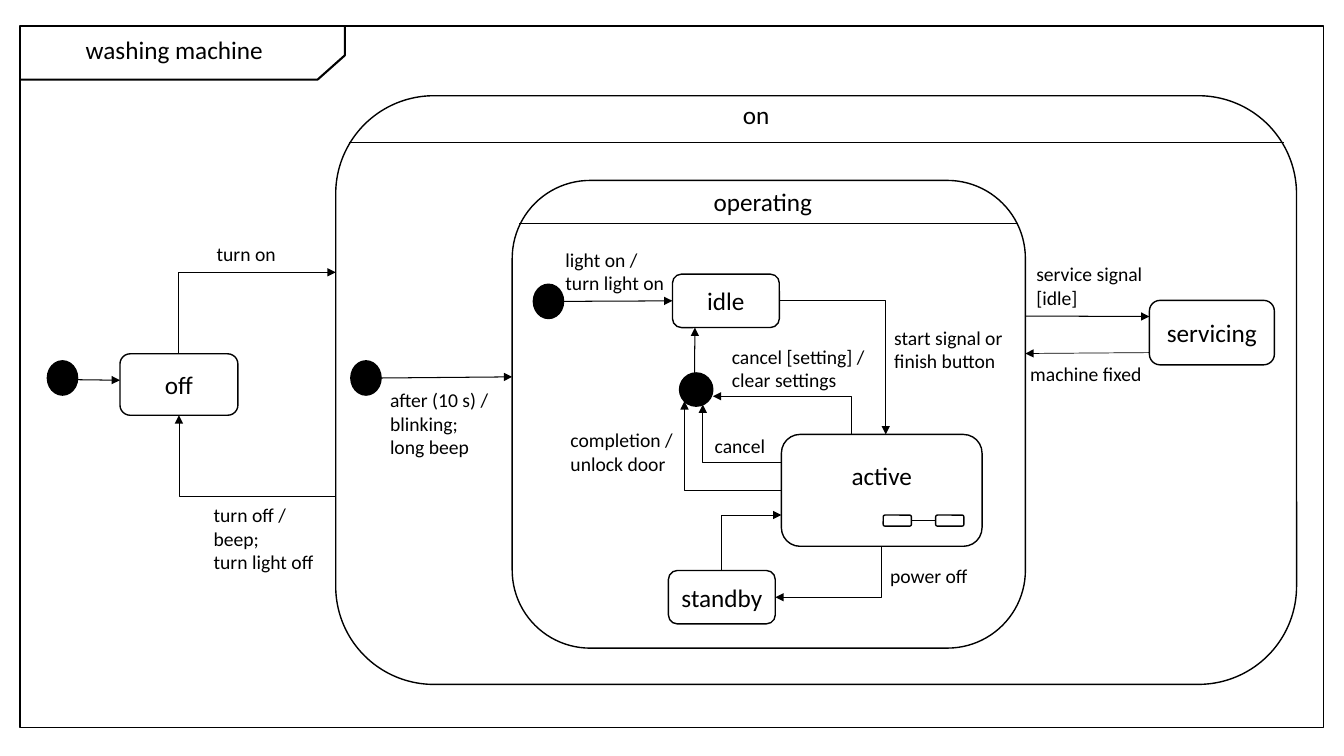
from pptx import Presentation, util as u
from pptx.dml.color import RGBColor
from pptx.enum import shapes, text
from pptx.oxml.ns import qn
from lxml import etree

# The slide is a grid of 1333 columns by 750 rows
COLS, ROWS = 1333, 750
WIDE, HIGH = u.Inches(13.33), u.Inches(7.5)


class Theme:
    font = "Calibri"
    ink, paper = RGBColor(0, 0, 0), RGBColor(255, 255, 255)
    state, label = 18, 14
    edge, thin, hair, tab = 1, 0.75, 0.5, 1.5


TITLE = ("washing machine", (75, 29, 233, 40))
FRAME = (20, 26, 1293, 696)
TAB = [(20, 79), (315, 79), (342, 55), (342, 26)]

# name: (left, top, width, height), back to front
STATES = {
    "on": (333, 95, 953, 584),
    "operating": (508, 179, 509, 464),
    "off": (119, 351, 117, 61),
    "idle": (667, 272, 106, 53),
    "active": (775, 431, 199, 111),
    "standby": (663, 566, 106, 53),
    "servicing": (1140, 298, 124, 64),
    "sub 1": (876, 511, 28, 11),
    "sub 2": (928, 511, 28, 11),
}
DOTS = {
    "start": (47, 358, 30, 34),
    "on start": (348, 358, 30, 34),
    "op start": (529, 282, 30, 34),
    "hub": (674, 370, 33, 33),
}
PLACES = STATES | DOTS
NAMED = ("off", "idle", "active", "standby", "servicing")

# composite state: (title box, rule drop, rule inset)
HEADS = {
    "on": ((727, 94, 60, 40), 46, 13),
    "operating": ((698, 180, 128, 40), 43, 7),
}

# (from, share across, share down), (to, ...), first leg, line width
ARROWS = [
    (("start", 1, .55), ("off", 0, .43), "straight", Theme.thin),
    (("off", .5, 0), ("on", 0, .3), "down", Theme.thin),
    (("on", 0, .68), ("off", .5, 1), "across", Theme.hair),
    (("on start", 1, .5), ("operating", 0, .42), "straight", Theme.thin),
    (("op start", 1, .5), ("idle", 0, .5), "straight", Theme.thin),
    (("idle", 1, .5), ("active", .52, 0), "across", Theme.hair),
    (("active", .5, 1), ("standby", 1, .5), "down", Theme.hair),
    (("standby", .5, 0), ("active", 0, .72), "down", Theme.hair),
    (("active", 0, .5), ("hub", .15, .85), "across", Theme.hair),
    (("active", 0, .25), ("hub", .7, .95), "across", Theme.hair),
    (("active", .35, 0), ("hub", 1, .7), "down", Theme.hair),
    (("hub", .45, 0), ("idle", .21, 1), "straight", Theme.thin),
    (("operating", 1, .29), ("servicing", 0, .25), "straight", Theme.thin),
    (("servicing", 0, .81), ("operating", 1, .37), "straight", Theme.hair),
]

LABELS = [
    (["turn on"], (205, 235, 97, 34)),
    (["turn off /", "beep;", "turn light off"], (202, 494, 136, 81)),
    (["after (10 s) /", "blinking;", "long beep"], (377, 380, 186, 81)),
    (["light on / turn light on"], (551, 241, 124, 57)),
    (["power off"], (873, 555, 124, 34)),
    (["start signal or finish button"], (877, 318, 154, 57)),
    (["service signal [idle]"], (1018, 255, 144, 57)),
    (["machine fixed"], (1012, 354, 144, 34)),
    (["completion /", "unlock door"], (556, 420, 128, 57)),
    (["cancel"], (699, 426, 124, 34)),
    (["cancel [setting] / clear settings"], (716, 337, 159, 57)),
]

deck = Presentation()
deck.slide_width, deck.slide_height = WIDE, HIGH
slide = deck.slides.add_slide(deck.slide_layouts[5])


def col(x):
    return round(x / COLS * WIDE)


def row(y):
    return round(y / ROWS * HIGH)


def grid(box):
    x, y, w, h = box
    return col(x), row(y), col(w), row(h)


def write(shape, lines, size=Theme.label, align=text.PP_ALIGN.LEFT,
          anchor=text.MSO_ANCHOR.TOP, base=0.05):
    frame = shape.text_frame
    frame.word_wrap = True
    frame.auto_size = text.MSO_AUTO_SIZE.NONE
    frame.vertical_anchor = anchor
    frame.margin_bottom = u.Inches(base)
    frame.text = "\n".join(lines)
    for para in frame.paragraphs:
        para.alignment = align
        para.font.size, para.font.name = u.Pt(size), Theme.font
        para.font.color.rgb = Theme.ink


def label(lines, box, **form):
    write(slide.shapes.add_textbox(*grid(box)), lines, **form)


def style(shape, fill=None, width=Theme.edge):
    shape.shadow.inherit = False
    if fill is None:
        shape.fill.background()
    else:
        shape.fill.solid()
        shape.fill.fore_color.rgb = fill
    shape.line.color.rgb = Theme.ink
    shape.line.width = u.Pt(width)


def draw(kind, box, fill=None):
    shape = slide.shapes.add_shape(kind, *grid(box))
    style(shape, fill)
    return shape


def spot(place, across, down):
    """Point at the given shares of a place's width and height."""
    x, y, w, h = PLACES[place]
    return x + across * w, y + down * h


def link(start, end, leg="straight", width=Theme.thin, arrow=True):
    """Join two points; a corner that first goes down is drawn from its end."""
    tip = "a:tailEnd"
    if leg == "down":
        start, end, tip = end, start, "a:headEnd"
    kind = shapes.MSO_CONNECTOR.STRAIGHT if leg == "straight" else shapes.MSO_CONNECTOR.ELBOW
    line = slide.shapes.add_connector(
        kind, col(start[0]), row(start[1]), col(end[0]), row(end[1]))
    line.line.color.rgb = Theme.ink
    line.line.width = u.Pt(width)
    props = line._element.spPr
    if leg != "straight":
        props.find(qn("a:prstGeom")).set("prst", "bentConnector2")
    if arrow:
        etree.SubElement(props.find(qn("a:ln")), qn(tip), type="triangle")
    etree.SubElement(props, qn("a:effectLst"))


def main():
    draw(shapes.MSO_SHAPE.RECTANGLE, FRAME)
    name, box = TITLE
    title = slide.shapes.title
    title.left, title.top, title.width, title.height = grid(box)
    write(title, [name], size=Theme.state)
    pen = slide.shapes.build_freeform(col(TAB[0][0]), row(TAB[0][1]))
    pen.add_line_segments([(col(x), row(y)) for x, y in TAB[1:]], close=False)
    style(pen.convert_to_shape(), width=Theme.tab)

    for name, box in STATES.items():
        state = draw(shapes.MSO_SHAPE.ROUNDED_RECTANGLE, box, Theme.paper)
        if name in NAMED:
            write(state, [name], size=Theme.state, align=text.PP_ALIGN.CENTER,
                  anchor=text.MSO_ANCHOR.MIDDLE, base=0.35 if name == "active" else 0.05)
    for box in DOTS.values():
        draw(shapes.MSO_SHAPE.OVAL, box, Theme.ink)

    for name, (box, drop, inset) in HEADS.items():
        label([name], box, size=Theme.state)
        x, y, w, h = STATES[name]
        link((x + inset, y + drop), (x + w - inset, y + drop), arrow=False)
    for start, end, leg, width in ARROWS:
        link(spot(*start), spot(*end), leg, width)
    link(spot("sub 1", 1, .5), spot("sub 2", 0, .5), width=Theme.hair, arrow=False)
    for lines, box in LABELS:
        label(lines, box)

    deck.save("out.pptx")


if __name__ == "__main__":
    main()
